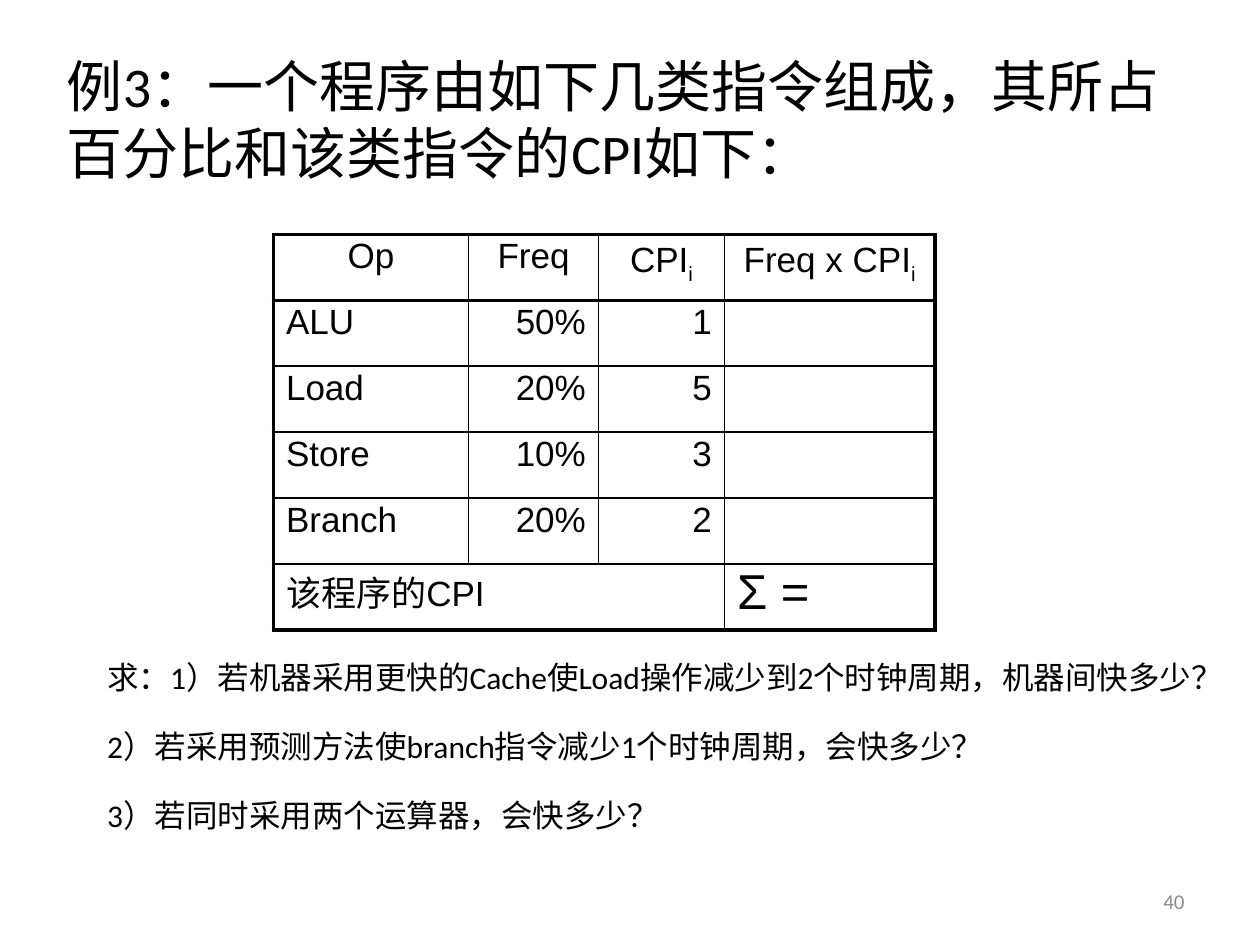
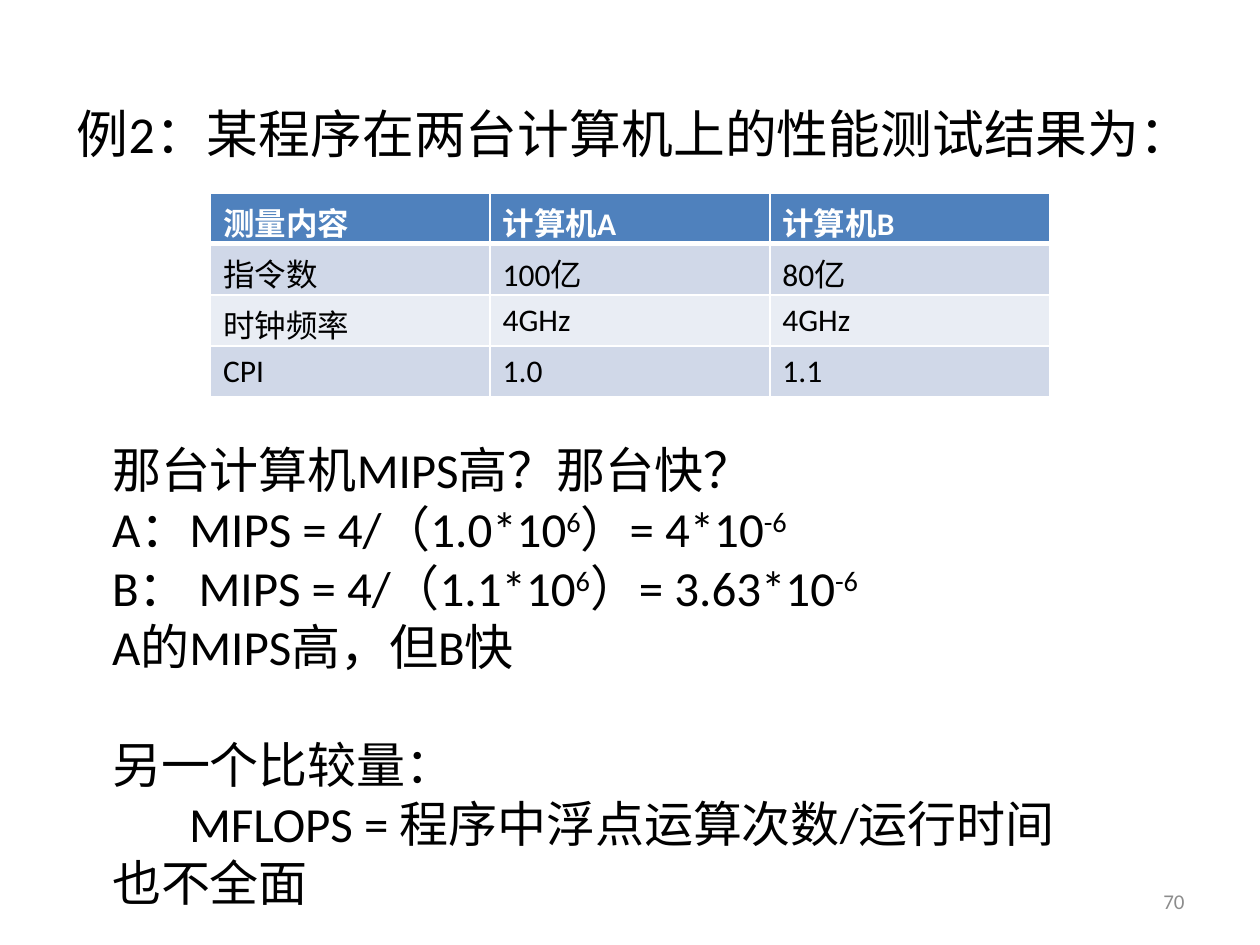
from lxml import etree
from pptx import Presentation
from pptx.dml.color import RGBColor
from pptx.enum.text import MSO_ANCHOR, MSO_AUTO_SIZE, PP_ALIGN
from pptx.oxml.ns import qn
from pptx.util import Inches, Pt

BLACK = RGBColor(0x00, 0x00, 0x00)
WHITE = RGBColor(0xFF, 0xFF, 0xFF)
GREY = RGBColor(0x8C, 0x8C, 0x8C)
BLUE = RGBColor(0x4F, 0x81, 0xBD)
DARK = RGBColor(0xD0, 0xD8, 0xE8)
LIGHT = RGBColor(0xE9, 0xED, 0xF4)
LEFT, MID, RIGHT = PP_ALIGN.LEFT, PP_ALIGN.CENTER, PP_ALIGN.RIGHT
TOP, CENTER = MSO_ANCHOR.TOP, MSO_ANCHOR.MIDDLE
FIXED = MSO_AUTO_SIZE.NONE
THIN, THICK = 1, 2.25


class Deck:
    """Holds the shared style and the current slide."""

    def __init__(self):
        self.prs = Presentation()
        self.prs.slide_width, self.prs.slide_height = Inches(10), Inches(7.5)

    def page(self, num):
        self.slide = self.prs.slides.add_slide(self.prs.slide_layouts[1])
        box = self.slide.shapes.add_textbox(*map(Inches, (7.17, 6.95, 2.33, 0.4)))
        box.text_frame.vertical_anchor = CENTER
        box.text_frame.word_wrap = True
        self.label(box.text_frame.paragraphs[0], str(num), 12, GREY, RIGHT)

    def label(self, par, text, size, color=BLACK, align=LEFT, face="Calibri", bold=False):
        mark, shift = ("_", "-25000") if "_" in text else ("^", "30000")
        for i, part in enumerate(text.split(mark)):
            if part:
                run = par.add_run()
                run.text = part
                if i % 2:
                    run._r.get_or_add_rPr().set("baseline", shift)
        par.alignment = align
        par.space_before = Pt(0)
        font = par.font
        font.name, font.size, font.bold = face, Pt(size), bold
        font.color.rgb = color

    def place(self, shape, area):
        shape.left, shape.top, shape.width, shape.height = map(Inches, area)
        frame = shape.text_frame
        frame.word_wrap, frame.auto_size, frame.vertical_anchor = True, FIXED, TOP
        return frame

    def title(self, text, area, size):
        frame = self.place(self.slide.shapes.title, area)
        self.label(frame.paragraphs[0], text, size)

    def body(self, lines, area, size, gap=0):
        frame = self.place(self.slide.placeholders[1], area)
        for i, line in enumerate(lines):
            par = frame.add_paragraph() if i else frame.paragraphs[0]
            self.label(par, line, size)
            par.space_before = Pt(gap if i else 0)
            props = par._p.get_or_add_pPr()
            props.set("marL", "0")
            props.set("indent", "0")
            bullet = etree.Element(qn("a:buNone"))
            props.find(qn("a:defRPr")).addprevious(bullet)
        return frame.paragraphs

    def table(self, rows, area, cols):
        shape = self.slide.shapes.add_table(len(rows), len(cols), *map(Inches, area))
        grid = shape.table
        for col, width in zip(grid.columns, cols):
            col.width = Inches(width)
        return grid

    def edge(self, cell, color, sides):
        props = cell._tc.get_or_add_tcPr()
        for side, width in zip("LRTB", sides):
            line = etree.SubElement(props, qn(f"a:ln{side}"), w=str(Pt(width)))
            fill = etree.SubElement(line, qn("a:solidFill"))
            etree.SubElement(fill, qn("a:srgbClr"), val=str(color))

    def rule(self, grid, color, across, down):
        for r in range(len(grid.rows)):
            for c in range(len(grid.columns)):
                sides = down[c], down[c + 1], across[r], across[r + 1]
                self.edge(grid.cell(r, c), color, sides)


def mix(deck):
    deck.page(40)
    deck.title("例3：一个程序由如下几类指令组成，其所占百分比和该类指令的CPI如下：",
               (0.43, 0.36, 9, 1.26), 32)
    rows = [("Op", "Freq", "CPI_i", "Freq x CPI_i"),
            ("ALU", "50%", "1", ""),
            ("Load", "20%", "5", ""),
            ("Store", "10%", "3", ""),
            ("Branch", "20%", "2", ""),
            ("该程序的CPI", "", "", "Σ =")]
    grid = deck.table(rows, (2.17, 1.86, 5.25, 3.14), (1.55, 1.03, 1, 1.67))
    grid.first_row = grid.horz_banding = False
    deck.rule(grid, BLACK, [THICK] * 2 + [THIN] * 4 + [THICK],
              [THICK] + [THIN] * 3 + [THICK])
    grid.cell(5, 0).merge(grid.cell(5, 2))
    for r, row in enumerate(rows):
        for c, text in enumerate(row):
            cell = grid.cell(r, c)
            cell.fill.background()
            if text:
                align = MID if r == 0 else RIGHT if c in (1, 2) else LEFT
                par = cell.text_frame.paragraphs[0]
                deck.label(par, text, 28 if "Σ" in text else 20,
                           align=align, face="Arial")
                par.line_spacing = 0.9
    deck.body(["求：1）若机器采用更快的Cache使Load操作减少到2个时钟周期，机器间快多少？",
               "2）若采用预测方法使branch指令减少1个时钟周期，会快多少？",
               "3）若同时采用两个运算器，会快多少？"],
              (0.75, 5.17, 9.06, 1.92), 18, 18)


def speed(deck):
    deck.page(70)
    deck.title("例2：某程序在两台计算机上的性能测试结果为：", (0.51, 0.76, 9, 0.63), 29.6)
    rows = [("测量内容", "计算机A", "计算机B"),
            ("指令数", "100亿", "80亿"),
            ("时钟频率", "4GHz", "4GHz"),
            ("CPI", "1.0", "1.1")]
    grid = deck.table(rows, (1.67, 1.53, 6.67, 1.62), [2.22] * 3)
    deck.rule(grid, WHITE, [1, 3, 1, 1, 1], [1] * 4)
    for r, row in enumerate(rows):
        for c, text in enumerate(row):
            cell = grid.cell(r, c)
            cell.fill.solid()
            cell.fill.fore_color.rgb = BLUE if r == 0 else DARK if r % 2 else LIGHT
            deck.label(cell.text_frame.paragraphs[0], text, 18,
                       BLACK if r else WHITE, bold=r == 0)
    pars = deck.body(["那台计算机MIPS高？那台快？",
                      "A：MIPS = 4/（1.0*10^6^）= 4*10^-6",
                      "B： MIPS = 4/（1.1*10^6^）= 3.63*10^-6",
                      "A的MIPS高，但B快",
                      "另一个比较量：",
                      "MFLOPS = 程序中浮点运算次数/运行时间",
                      "也不全面"],
                     (0.79, 3.44, 8.77, 3.87), 28)
    pars[4].space_before = Pt(34)
    pars[5]._p.get_or_add_pPr().set("marL", str(Inches(0.61)))


def main():
    deck = Deck()
    mix(deck)
    speed(deck)
    deck.prs.save("out.pptx")


if __name__ == "__main__":
    main()
